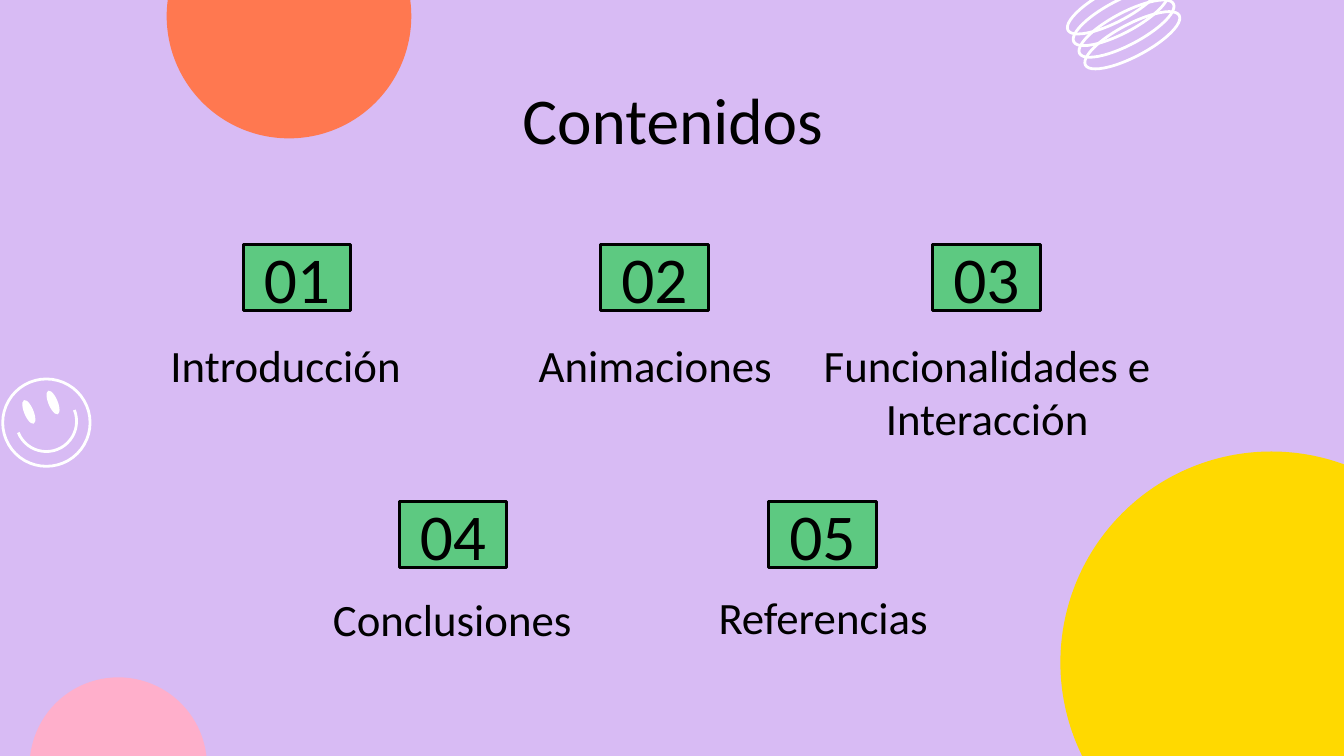
import pptx
import pptx.dml.color
import pptx.enum.shapes
import pptx.enum.text
import pptx.util

RGBColor = pptx.dml.color.RGBColor
LILAC = RGBColor(0xD8, 0xBB, 0xF4)
WHITE = RGBColor(0xFF, 0xFF, 0xFF)
BLACK = RGBColor(0x00, 0x00, 0x00)
PINK = RGBColor(0xFF, 0xAF, 0xCB)
YELLOW = RGBColor(0xFF, 0xD9, 0x00)
ORANGE = RGBColor(0xFF, 0x78, 0x50)
GREEN = RGBColor(0x5D, 0xC9, 0x81)

Kind = pptx.enum.shapes.MSO_SHAPE
Anchor = pptx.enum.text.MSO_ANCHOR
FONT = "Calibri"
COLUMNS = 10
LABEL_WIDTH = 2.67
NUMBER_WIDTH, NUMBER_HEIGHT = 0.8, 0.49


def write(shape, text, size=24, color=BLACK, anchor=Anchor.TOP):
    frame = shape.text_frame
    frame.word_wrap = True
    frame.vertical_anchor = anchor
    frame.margin_left = frame.margin_right = pptx.util.Inches(0.1)
    frame.margin_top = frame.margin_bottom = pptx.util.Inches(0.1)
    paragraph = frame.paragraphs[0]
    paragraph.alignment = pptx.enum.text.PP_ALIGN.CENTER
    run = paragraph.add_run()
    run.text = text
    run.font.name = FONT
    run.font.size = pptx.util.Pt(size)
    run.font.color.rgb = color


class ContentsSlide:
    """Draws styled elements on a slide measured in square grid cells."""

    def __init__(self, presentation):
        self.cell = presentation.slide_width / COLUMNS
        self.slide = presentation.slides.add_slide(presentation.slide_layouts[6])
        self.slide.background.fill.solid()
        self.slide.background.fill.fore_color.rgb = LILAC

    def place(self, *lengths):
        return [round(length * self.cell) for length in lengths]

    def shape(self, kind, left, top, width, height, fill=None, line=None, rotation=0):
        shape = self.slide.shapes.add_shape(kind, *self.place(left, top, width, height))
        shape.shadow.inherit = False
        shape.rotation = rotation
        if fill is None:
            shape.fill.background()
        else:
            shape.fill.solid()
            shape.fill.fore_color.rgb = fill
        if line is None:
            shape.line.fill.background()
        else:
            shape.line.color.rgb = line
            shape.line.width = pptx.util.Pt(1.5)
        return shape

    def circle(self, left, top, diameter, **style):
        return self.shape(Kind.OVAL, left, top, diameter, diameter, **style)

    def text(self, text, left, top, width, height, **style):
        box = self.slide.shapes.add_textbox(*self.place(left, top, width, height))
        write(box, text, **style)

    def scribble(self, left, top, loops=4):
        for loop in range(loops):
            self.shape(Kind.OVAL, left + 0.13 * loop / 3, top + 0.26 * loop / 3,
                       0.79, 0.24, line=WHITE, rotation=332.1)

    def smiley(self, left, top):
        self.circle(left, top, 0.65, line=WHITE)
        for across, down in ((0.16, 0.15), (0.34, 0.08)):
            self.shape(Kind.OVAL, left + across, top + down, 0.07, 0.19,
                       fill=WHITE, rotation=337.6)
        smile = self.shape(Kind.ARC, left + 0.1, top + 0.09, 0.45, 0.45,
                           line=WHITE, rotation=68.1)
        smile.adjustments[0] = 162
        smile.adjustments[1] = 53.99

    def number(self, text, left, top):
        box = self.shape(Kind.RECTANGLE, left, top, NUMBER_WIDTH, NUMBER_HEIGHT,
                         fill=GREEN, line=BLACK)
        write(box, text, size=35, anchor=Anchor.MIDDLE)

    def label(self, text, left, top, height):
        self.text(text, left, top, LABEL_WIDTH, height, anchor=Anchor.BOTTOM)


def main():
    presentation = pptx.Presentation()
    presentation.slide_width = pptx.util.Inches(10)
    presentation.slide_height = presentation.slide_width * 9 // 16
    contents = ContentsSlide(presentation)

    contents.scribble(7.9, -0.08)
    contents.smiley(0.02, 2.82)
    contents.circle(0.22, 5.04, 1.32, fill=PINK)
    contents.circle(7.89, 3.36, 3.14, fill=YELLOW)
    contents.circle(1.24, -0.79, 1.82, fill=ORANGE)
    contents.text("Contenidos", 0.79, 0.49, 8.43, 0.63, size=35)

    sections = (
        ("Introducción", 1.81, 1.82, 0.79, 2.58, 0.43),
        ("Animaciones", 4.47, 1.82, 3.54, 2.58, 0.43),
        ("Funcionalidades e Interacción", 6.94, 1.82, 6.01, 2.54, 0.87),
        ("Conclusiones", 2.97, 3.73, 2.03, 4.47, 0.43),
        ("Referencias", 5.72, 3.73, 4.79, 4.46, 0.43),
    )
    for position, section in enumerate(sections, start=1):
        name, number_left, number_top, label_left, label_top, label_height = section
        contents.number(f"{position:02}", number_left, number_top)
        contents.label(name, label_left, label_top, label_height)

    presentation.save("out.pptx")


if __name__ == "__main__":
    main()
